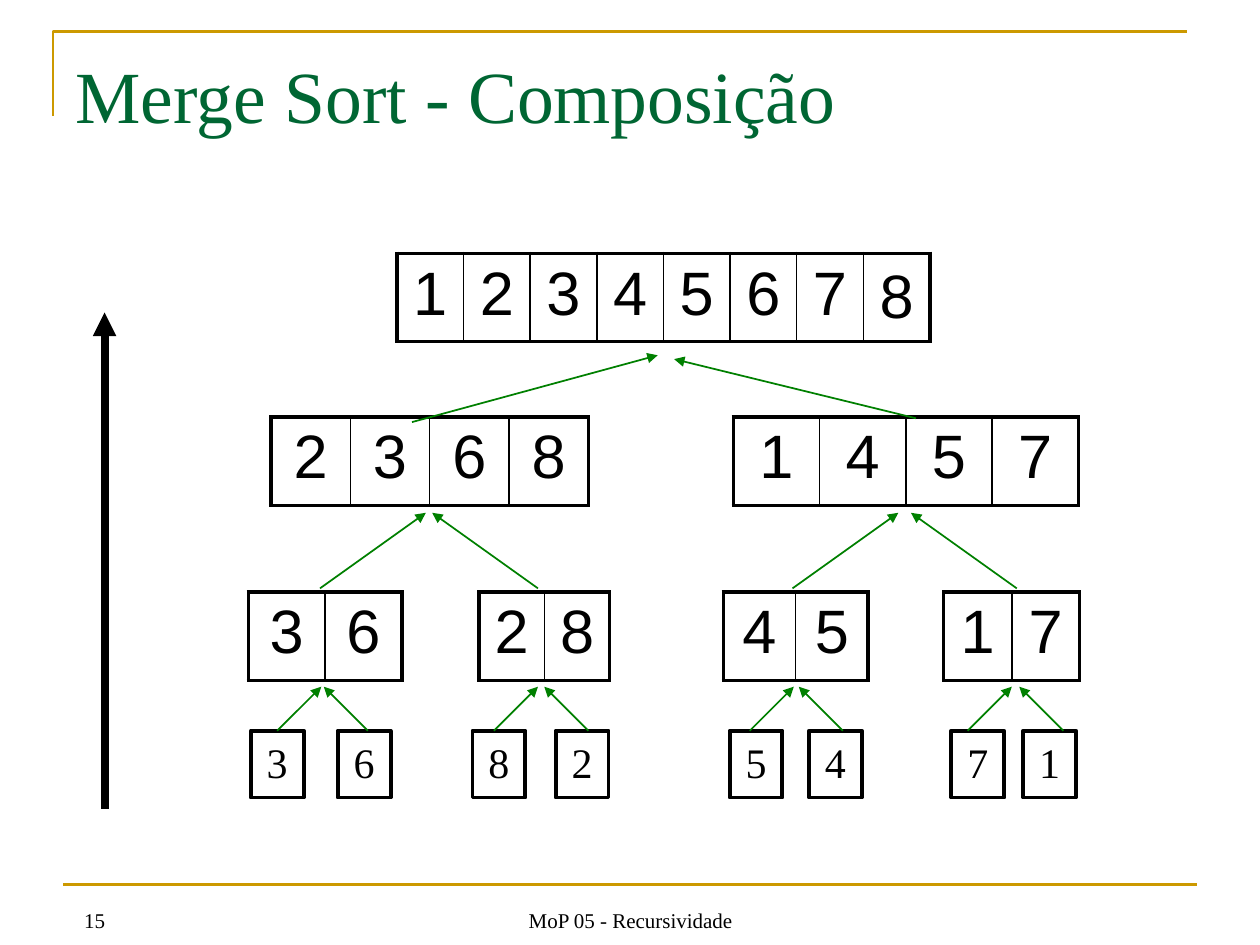
from pptx import Presentation
from pptx.dml.color import RGBColor
from pptx.enum.shapes import MSO_CONNECTOR, MSO_SHAPE
from pptx.enum.text import MSO_ANCHOR, PP_ALIGN
from pptx.oxml.ns import qn
from pptx.util import Inches, Pt
from lxml.etree import SubElement


def color(value):
    return RGBColor.from_string(value)


class MergeSlide:
    serif = "Times New Roman"
    sans = "Arial"
    ink = "000000"
    gold = "CC9900"
    green = "008000"
    title_green = "006633"
    thick = 2.25
    thin = 1

    def __init__(self, slide):
        self.slide = slide
        self.shapes = slide.shapes

    def set_text(self, frame, text, size, font, hue, align, anchor=MSO_ANCHOR.TOP):
        frame.text = text
        frame.vertical_anchor = anchor
        paragraph = frame.paragraphs[0]
        paragraph.alignment = align
        style = paragraph.runs[0].font
        style.size, style.name = Pt(size), font
        style.color.rgb = color(hue)

    def title(self, text, left, top, width, height):
        heading = self.shapes.title
        heading.left, heading.top = Inches(left), Inches(top)
        heading.width, heading.height = Inches(width), Inches(height)
        self.set_text(heading.text_frame, text, 42, self.serif, self.title_green,
                      PP_ALIGN.LEFT, MSO_ANCHOR.BOTTOM)

    def label(self, text, left, top, width, height, align, anchor, wrap):
        note = self.shapes.add_textbox(Inches(left), Inches(top), Inches(width), Inches(height))
        note.text_frame.word_wrap = wrap
        self.set_text(note.text_frame, text, 12, self.serif, self.ink, align, anchor)

    def corner(self, points):
        (x, y), *others = [(Inches(a), Inches(b)) for a, b in points]
        builder = self.shapes.build_freeform(x, y)
        builder.add_line_segments(others, close=False)
        frame = builder.convert_to_shape()
        frame.shadow.inherit = False
        frame.fill.background()
        frame.line.color.rgb = color(self.gold)
        frame.line.width = Pt(1.5)

    def line(self, start, end, hue, width, arrow=None):
        link = self.shapes.add_connector(MSO_CONNECTOR.STRAIGHT, *map(Inches, start + end))
        link.line.color.rgb = color(hue)
        link.line.width = Pt(width)
        properties = link._element.spPr
        if arrow:
            SubElement(properties.find(qn("a:ln")), qn(arrow), type="triangle")
        SubElement(properties, qn("a:effectLst"))

    def arrow(self, start, end):
        self.line(start, end, self.green, self.thin, "a:tailEnd")

    def merge(self, left_tip, right_tip, run, bottom, top):
        self.arrow((left_tip - run, bottom), (left_tip, top))
        self.arrow((right_tip + run, bottom), (right_tip, top))

    def borders(self, cell, widths):
        properties = cell._tc.get_or_add_tcPr()
        for side, width in widths.items():
            edge = SubElement(properties, qn("a:ln" + side), w=str(Pt(width)))
            SubElement(SubElement(edge, qn("a:solidFill")), qn("a:srgbClr"), val=self.ink)

    def array(self, digits, left, top, width):
        count = len(digits)
        table = self.shapes.add_table(1, count, Inches(left), Inches(top),
                                      Inches(width), Inches(0.7)).table
        table.first_row = table.horz_banding = False
        for index, digit in enumerate(digits):
            table.columns[index].width = Inches(width / count)
            cell = table.cell(0, index)
            self.borders(cell, {
                "L": self.thin if index else self.thick,
                "R": self.thin if index < count - 1 else self.thick,
                "T": self.thick,
                "B": self.thick,
            })
            cell.fill.background()
            self.set_text(cell.text_frame, digit, 35, self.sans, self.ink, PP_ALIGN.CENTER)
        return table

    def item(self, digit, left):
        box = self.shapes.add_shape(MSO_SHAPE.RECTANGLE, Inches(left), Inches(5.8),
                                    Inches(0.42), Inches(0.53))
        box.shadow.inherit = False
        box.fill.background()
        box.line.color.rgb = color(self.ink)
        box.line.width = Pt(self.thick)
        box.text_frame.word_wrap = False
        self.set_text(box.text_frame, digit, 24, self.serif, self.ink, PP_ALIGN.CENTER)


deck = Presentation()
deck.slide_width, deck.slide_height = Inches(10), Inches(7.5)
page = MergeSlide(deck.slides.add_slide(deck.slide_layouts[5]))

page.line((0.5, 7.02), (9.5, 7.02), page.gold, 1.5)
page.corner([(0.42, 0.92), (0.42, 0.25), (9.42, 0.25)])
page.label("15", 0.57, 7.15, 0.38, 0.3, PP_ALIGN.LEFT, MSO_ANCHOR.TOP, False)
page.title("Merge Sort - Composição", 0.5, 0.3, 9, 0.85)

sorted_array = page.array("12345678", 3.15, 2.01, 4.23)
sorted_array.cell(0, 7).vertical_anchor = MSO_ANCHOR.MIDDLE
for digits, left, width in [("2368", 2.15, 2.52), ("1457", 5.82, 2.74)]:
    page.array(digits, left, 3.31, width)
for digits, left, width in [("36", 1.97, 1.22), ("28", 3.8, 1.04),
                            ("45", 5.74, 1.15), ("17", 7.49, 1.08)]:
    page.array(digits, left, 4.7, width)
for digit, left in zip("36825471", (1.99, 2.68, 3.75, 4.41, 5.79, 6.42, 7.55, 8.12)):
    page.item(digit, left)

page.arrow((7.27, 3.32), (5.35, 2.85))
page.arrow((3.27, 3.35), (5.22, 2.82))
for tips in [(3.38, 3.43), (7.13, 7.23)]:
    page.merge(*tips, 0.84, 4.67, 4.07)
for tips in [(2.55, 2.57), (4.27, 4.32), (6.3, 6.34), (8.03, 8.09)]:
    page.merge(*tips, 0.35, 5.8, 5.45)

page.line((0.83, 2.48), (0.83, 6.42), page.ink, 4.5, "a:headEnd")
page.label("MoP 05 - Recursividade", 3.42, 7.1, 3.17, 0.35,
           PP_ALIGN.CENTER, MSO_ANCHOR.BOTTOM, True)

deck.save("out.pptx")
